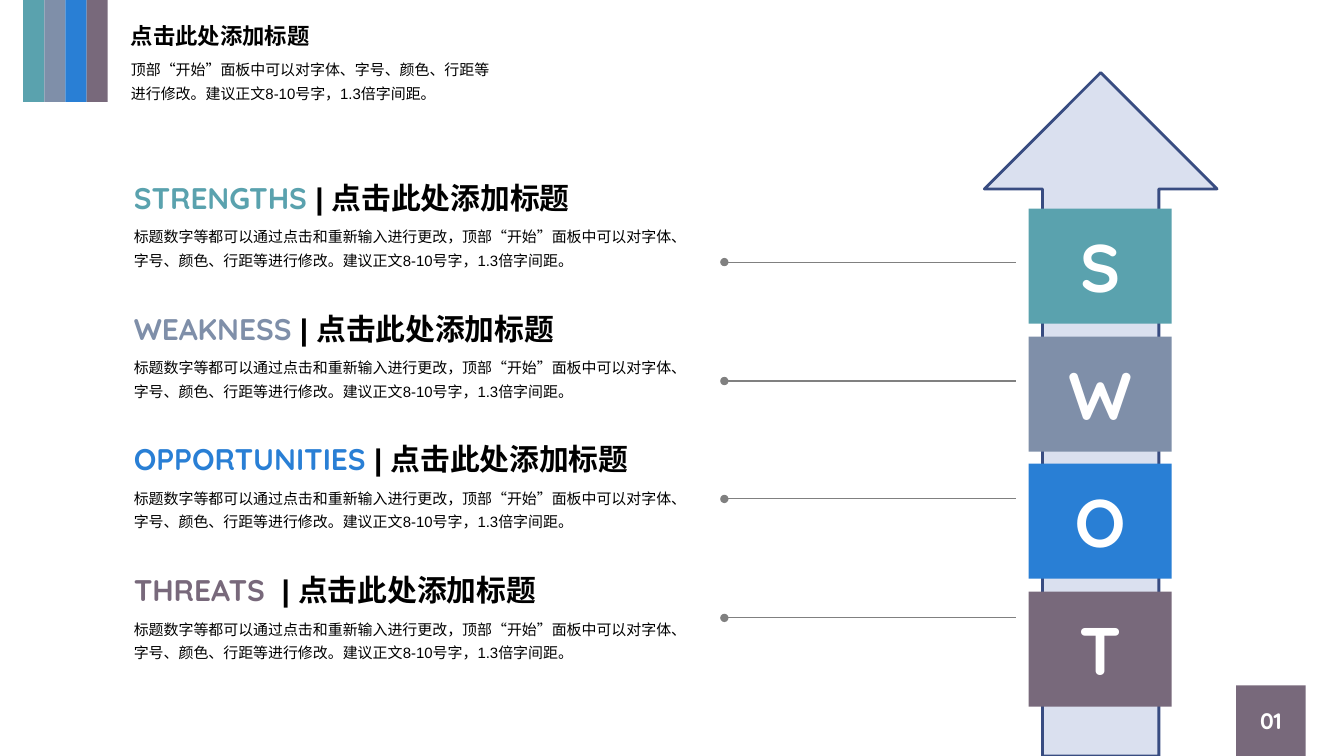
from lxml import etree
from pptx import Presentation
from pptx import util as u
from pptx.dml.color import RGBColor
from pptx.enum import shapes, text
from pptx.oxml.ns import qn

PX = 9144  # EMU per px, 100 px to the inch

TEAL = RGBColor(0x5A, 0xA2, 0xAE)
SLATE = RGBColor(0x7F, 0x8F, 0xA9)
BLUE = RGBColor(0x29, 0x7F, 0xD5)
PLUM = RGBColor(0x78, 0x69, 0x7B)
PALE = RGBColor(0xDA, 0xE0, 0xEF)
NAVY = RGBColor(0x38, 0x4C, 0x81)
GREY = RGBColor(0x80, 0x80, 0x80)
BLACK = RGBColor(0, 0, 0)
WHITE = RGBColor(0xFF, 0xFF, 0xFF)

TITLE = "点击此处添加标题"
INTRO = ("顶部“开始”面板中可以对字体、字号、颜色、行距等进行修改。"
         "建议正文8-10号字，1.3倍字间距。")
DETAIL = "标题数字等都可以通过点击和重新输入进行更改，" + INTRO
FACTORS = [("STRENGTHS", TEAL), ("WEAKNESS", SLATE),
           ("OPPORTUNITIES", BLUE), ("THREATS ", PLUM)]


def spread(first, last, i):
    """Position of factor i when the factors are evenly spaced."""
    return first + round((last - first) * i / (len(FACTORS) - 1))


class SlideBuilder:
    body_font = "Arial"
    accent_font = "Quicksand"

    def __init__(self, prs):
        self.slide = prs.slides.add_slide(prs.slide_layouts[1])

    def box(self, *at):
        return [u.Emu(v * PX) for v in at]

    def style(self, r, size, color, bold=False, font=None):
        r.font.name = font or self.body_font
        r.font.size = u.Pt(size)
        r.font.bold = bold
        r.font.color.rgb = color

    def placeholder(self, idx, at, words, size, bold=False, spacing=1.0):
        sp = self.slide.placeholders[idx]
        sp.left, sp.top, sp.width, sp.height = self.box(*at)
        tf = sp.text_frame
        tf.text = words
        tf.word_wrap = True
        tf.auto_size = text.MSO_AUTO_SIZE.NONE
        tf.vertical_anchor = text.MSO_ANCHOR.TOP
        p = tf.paragraphs[0]
        pPr = p._p.get_or_add_pPr()
        pPr.set("marL", "0")
        pPr.set("indent", "0")
        etree.SubElement(pPr, qn("a:buNone"))
        p.alignment = text.PP_ALIGN.LEFT
        p.space_before = u.Pt(0)
        p.line_spacing = spacing
        self.style(p.runs[0], size, BLACK, bold)

    def shape(self, kind, at, fill, line=None):
        sp = self.slide.shapes.add_shape(kind, *self.box(*at))
        sp.shadow.inherit = False
        sp.fill.solid()
        sp.fill.fore_color.rgb = fill
        if line:
            sp.line.color.rgb = line
            sp.line.width = u.Pt(2)
        else:
            sp.line.fill.background()
        return sp

    def block(self, at, fill, label=None, size=16):
        sp = self.shape(shapes.MSO_SHAPE.RECTANGLE, at, fill)
        if label:
            tf = sp.text_frame
            tf.text = label
            tf.vertical_anchor = text.MSO_ANCHOR.MIDDLE
            p = tf.paragraphs[0]
            p.alignment = text.PP_ALIGN.CENTER
            self.style(p.runs[0], size, WHITE, True, self.accent_font)

    def textbox(self, at):
        """Add a wrapping text box and return its first paragraph."""
        tf = self.slide.shapes.add_textbox(*self.box(*at)).text_frame
        tf.word_wrap = True
        tf.auto_size = text.MSO_AUTO_SIZE.SHAPE_TO_FIT_TEXT
        return tf.paragraphs[0]

    def heading(self, at, word, color):
        p = self.textbox(at)
        p.text = word
        self.style(p.runs[0], 21.3, color, True, self.accent_font)
        r = p.add_run()
        r.text = " | " + TITLE
        self.style(r, 21.3, BLACK, True)

    def detail(self, at):
        p = self.textbox(at)
        p.text = DETAIL
        p.line_spacing = 1.3
        self.style(p.runs[0], 10.7, BLACK)

    def pointer(self, x1, x2, y):
        """Draw a horizontal line with a dot at its left end."""
        cxn = self.slide.shapes.add_connector(
            shapes.MSO_CONNECTOR.STRAIGHT, *self.box(x1, y, x2, y))
        cxn.line.color.rgb = GREY
        cxn.line.width = u.Pt(0.75)
        etree.SubElement(cxn.line._get_or_add_ln(), qn("a:headEnd"), type="oval")
        etree.SubElement(cxn._element.spPr, qn("a:effectLst"))


def main():
    prs = Presentation()
    prs.slide_width, prs.slide_height = u.Emu(1334 * PX), u.Emu(750 * PX)
    s = SlideBuilder(prs)

    s.placeholder(0, (120, 17, 228, 34), TITLE, 16, bold=True)
    s.placeholder(1, (120, 50, 378, 51), INTRO, 10.7, spacing=1.3)
    s.block((1227, 680, 69, 70), PLUM, "01")
    s.shape(shapes.MSO_SHAPE.UP_ARROW, (977, 72, 231, 678), PALE, NAVY)

    for i, (word, color) in enumerate(FACTORS):
        s.block((23 + 21 * i, 0, 21, 101), color)
        s.block((1021, spread(207, 587, i), 142, 114), color, word[0], 48)
        top = spread(173, 562, i)
        s.heading((123, top, 556, 46), word, color)
        s.detail((123, top + 43, 556, 57))
        s.pointer(719, 1008, spread(260, 613, i))

    prs.save("out.pptx")


if __name__ == "__main__":
    main()
